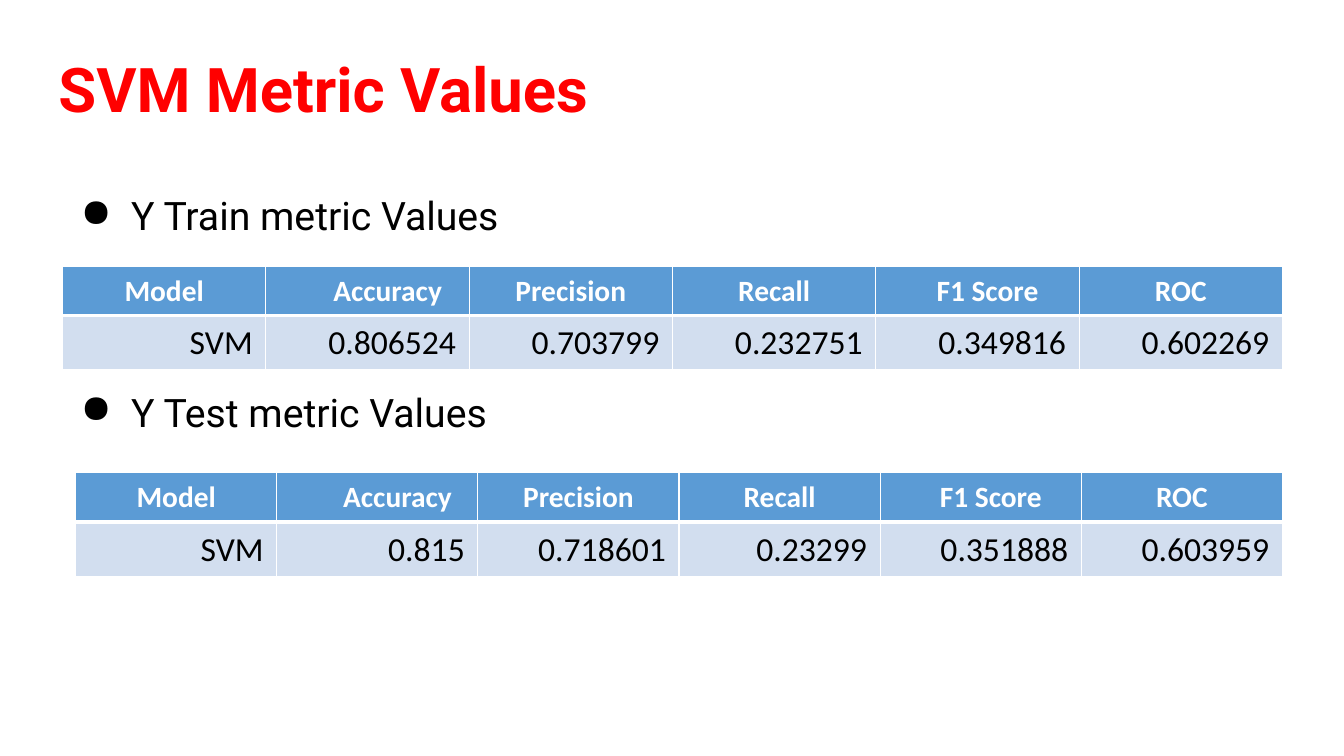
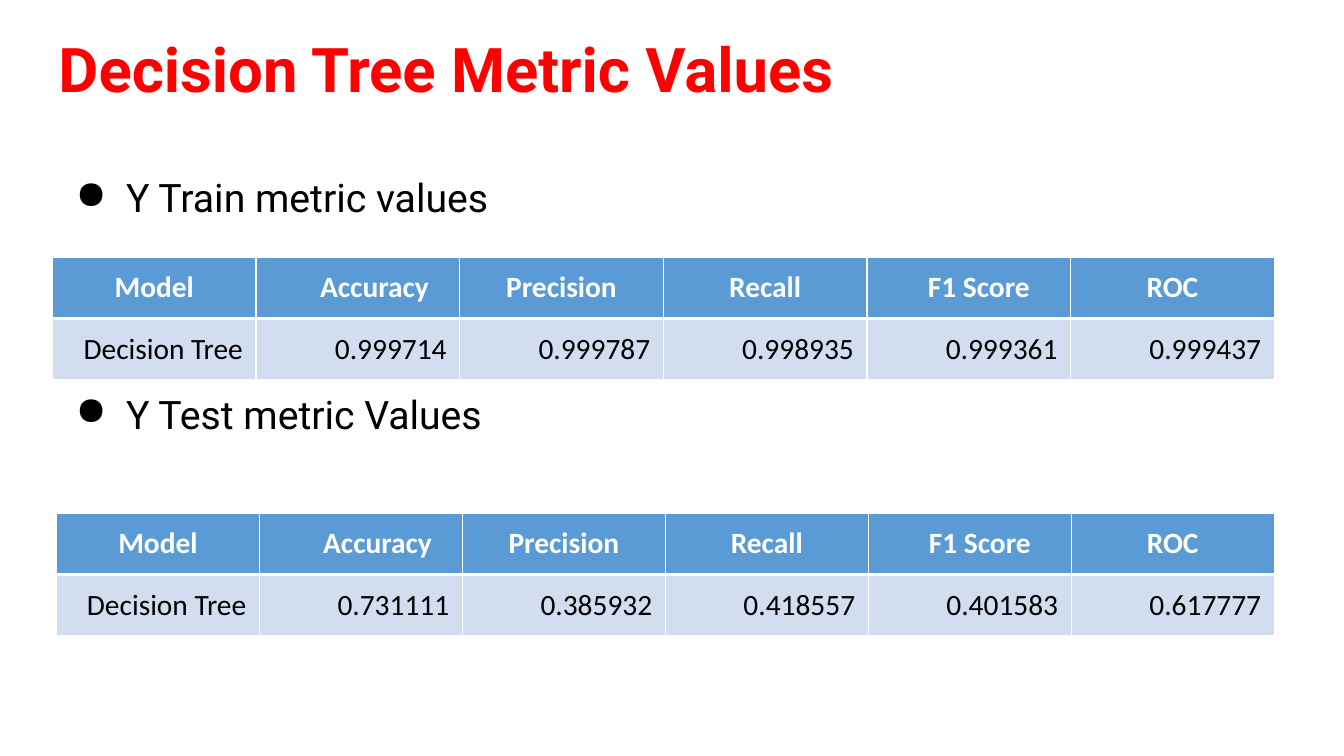
from dataclasses import dataclass

from lxml import etree
from pptx import Presentation
from pptx import util as u
from pptx.dml.color import RGBColor
from pptx.enum import text
from pptx.oxml import ns

COLOURS = {
    "title": "FF0000",
    "body": "000000",
    "header_text": "FFFFFF",
    "header_fill": "5B9BD5",
    "row_fill": "D2DEEF",
    "border": "FFFFFF",
}
HEADING_FONT = "Roboto"
TABLE_FONT = "Calibri"
HEADERS = ("Model", "Accuracy", "Precision", "Recall", "F1 Score", "ROC")
INSET = 0.13
TEXT_WIDTH = 12.42
HEADER_SIZE = 21
THIN, THICK = 1, 3


@dataclass(frozen=True)
class MetricTable:
    label: str
    label_top: float
    left: float
    top: float
    width: float
    row_heights: tuple[float, float]
    values: tuple[str, ...]


@dataclass(frozen=True)
class MetricSlide:
    title: str
    title_top: float
    label_left: float
    value_size: int
    header_indents: dict[str, float]
    tables: tuple[MetricTable, ...]


SLIDES = (
    MetricSlide("SVM Metric Values", 0.38, 0.5, 24, {"Accuracy": 0.4, "F1 Score": 0.2}, (
        MetricTable("Y Train metric Values", 1.7, 0.62, 2.64, 12.1, (0.49, 0.54),
                    ("SVM", "0.806524", "0.703799", "0.232751", "0.349816", "0.602269")),
        MetricTable("Y Test metric Values", 3.65, 0.75, 4.69, 11.97, (0.48, 0.54),
                    ("SVM", "0.815", "0.718601", "0.23299", "0.351888", "0.603959")),
    )),
    MetricSlide("Decision Tree Metric Values", 0.18, 0.45, 21, {"Accuracy": 0.33, "F1 Score": 0.2}, (
        MetricTable("Y Train metric values", 1.52, 0.52, 2.55, 12.12, (0.61, 0.61),
                    ("Decision Tree", "0.999714", "0.999787", "0.998935", "0.999361", "0.999437")),
        MetricTable("Y Test metric Values", 3.67, 0.56, 5.09, 12.08, (0.61, 0.61),
                    ("Decision Tree", "0.731111", "0.385932", "0.418557", "0.401583", "0.617777")),
    )),
)


def write(frame, content: str, *, font: str, size: int, colour: str, bold: bool = False,
          align=text.PP_ALIGN.LEFT, line_spacing: float = 1.0):
    """Fill the frame with one formatted paragraph and return it."""
    paragraph = frame.paragraphs[0]
    paragraph.alignment = align
    paragraph.line_spacing = line_spacing
    run = paragraph.add_run()
    run.text = content
    run.font.name = font
    run.font.size = u.Pt(size)
    run.font.bold = bold
    run.font.color.rgb = RGBColor.from_string(COLOURS[colour])
    return paragraph


def add_text_frame(slide, left: float, top: float, height: float):
    box = slide.shapes.add_textbox(u.Inches(left), u.Inches(top),
                                   u.Inches(TEXT_WIDTH), u.Inches(height))
    frame = box.text_frame
    frame.word_wrap = True
    frame.margin_left = frame.margin_right = u.Inches(INSET)
    frame.margin_top = frame.margin_bottom = u.Inches(INSET)
    return frame


def add_bullet(paragraph) -> None:
    properties = paragraph._p.get_or_add_pPr()
    properties.set("marL", str(u.Inches(0.67)))
    properties.set("indent", str(u.Inches(-0.5)))
    etree.SubElement(properties, ns.qn("a:buChar"), char="●")


def set_borders(cell, top: float, bottom: float) -> None:
    properties = cell._tc.get_or_add_tcPr()
    for side, width in (("L", THIN), ("R", THIN), ("T", top), ("B", bottom)):
        line = etree.SubElement(properties, ns.qn(f"a:ln{side}"), w=str(u.Pt(width)))
        fill = etree.SubElement(line, ns.qn("a:solidFill"))
        etree.SubElement(fill, ns.qn("a:srgbClr"), val=COLOURS["border"])


def format_cell(cell, fill: str, top: float, bottom: float, indent: float = 0) -> None:
    set_borders(cell, top, bottom)
    cell.fill.solid()
    cell.fill.fore_color.rgb = RGBColor.from_string(COLOURS[fill])
    cell.vertical_anchor = text.MSO_ANCHOR.MIDDLE
    cell.margin_left = u.Inches(INSET + indent)
    cell.margin_right = u.Inches(INSET)
    cell.margin_top = cell.margin_bottom = u.Inches(0.07)


def add_metric_table(slide, metrics: MetricTable, page: MetricSlide) -> None:
    table = slide.shapes.add_table(
        2, len(HEADERS), u.Inches(metrics.left), u.Inches(metrics.top),
        u.Inches(metrics.width), u.Inches(sum(metrics.row_heights))).table
    for row, height in zip(table.rows, metrics.row_heights):
        row.height = u.Inches(height)
    for column, (header, value) in enumerate(zip(HEADERS, metrics.values)):
        table.columns[column].width = u.Inches(metrics.width / len(HEADERS))
        header_cell, value_cell = table.cell(0, column), table.cell(1, column)
        format_cell(header_cell, "header_fill", THIN, THICK, page.header_indents.get(header, 0))
        write(header_cell.text_frame, header, font=TABLE_FONT, size=HEADER_SIZE,
              colour="header_text", bold=True, align=text.PP_ALIGN.CENTER)
        format_cell(value_cell, "row_fill", THICK, THIN)
        write(value_cell.text_frame, value, font=TABLE_FONT, size=page.value_size,
              colour="body", align=text.PP_ALIGN.RIGHT)


def add_metric_slide(presentation, page: MetricSlide) -> None:
    slide = presentation.slides.add_slide(presentation.slide_layouts[6])
    write(add_text_frame(slide, 0.45, page.title_top, 1.03), page.title,
          font=HEADING_FONT, size=44, colour="title", bold=True)
    for metrics in page.tables:
        label = write(add_text_frame(slide, page.label_left, metrics.label_top, 0.8),
                      metrics.label, font=HEADING_FONT, size=28, colour="body",
                      line_spacing=1.15)
        add_bullet(label)
        add_metric_table(slide, metrics, page)


def main() -> None:
    presentation = Presentation()
    presentation.slide_width = u.Inches(13.33)
    presentation.slide_height = u.Inches(7.5)
    for page in SLIDES:
        add_metric_slide(presentation, page)
    presentation.save("out.pptx")


if __name__ == "__main__":
    main()
